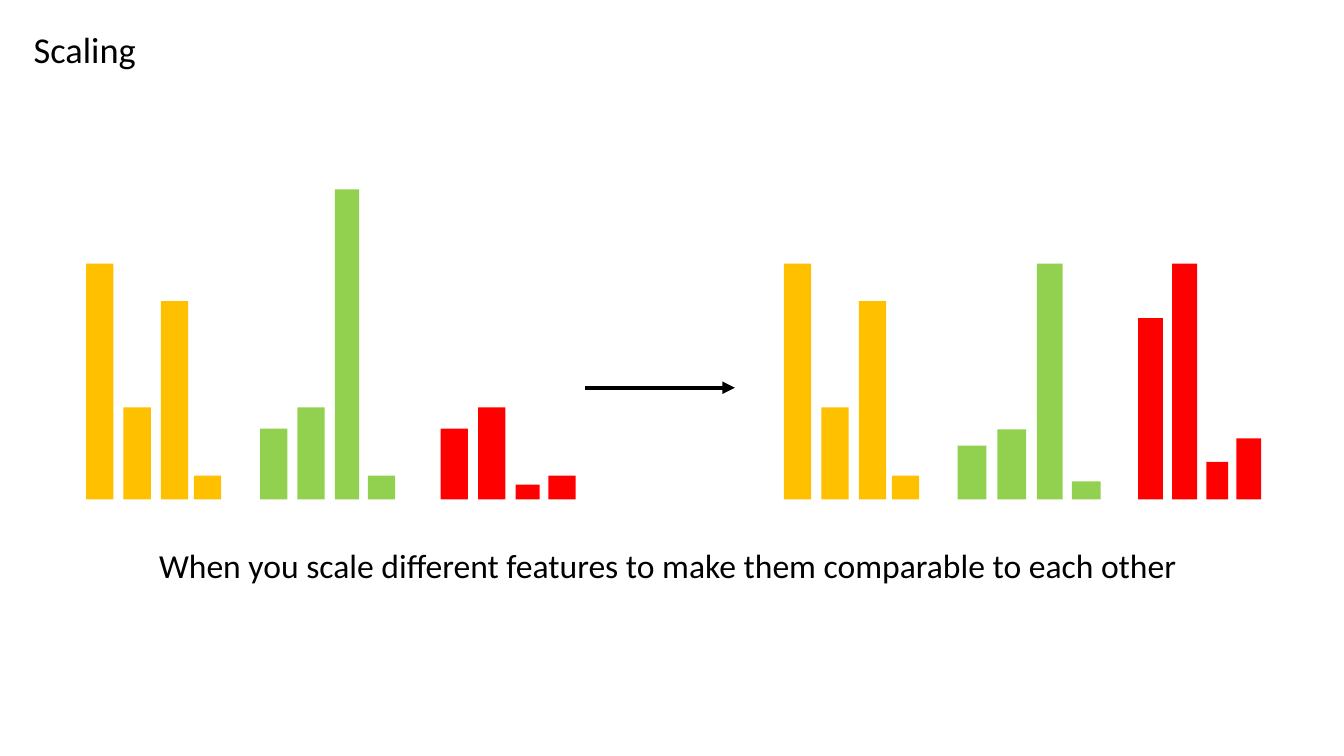
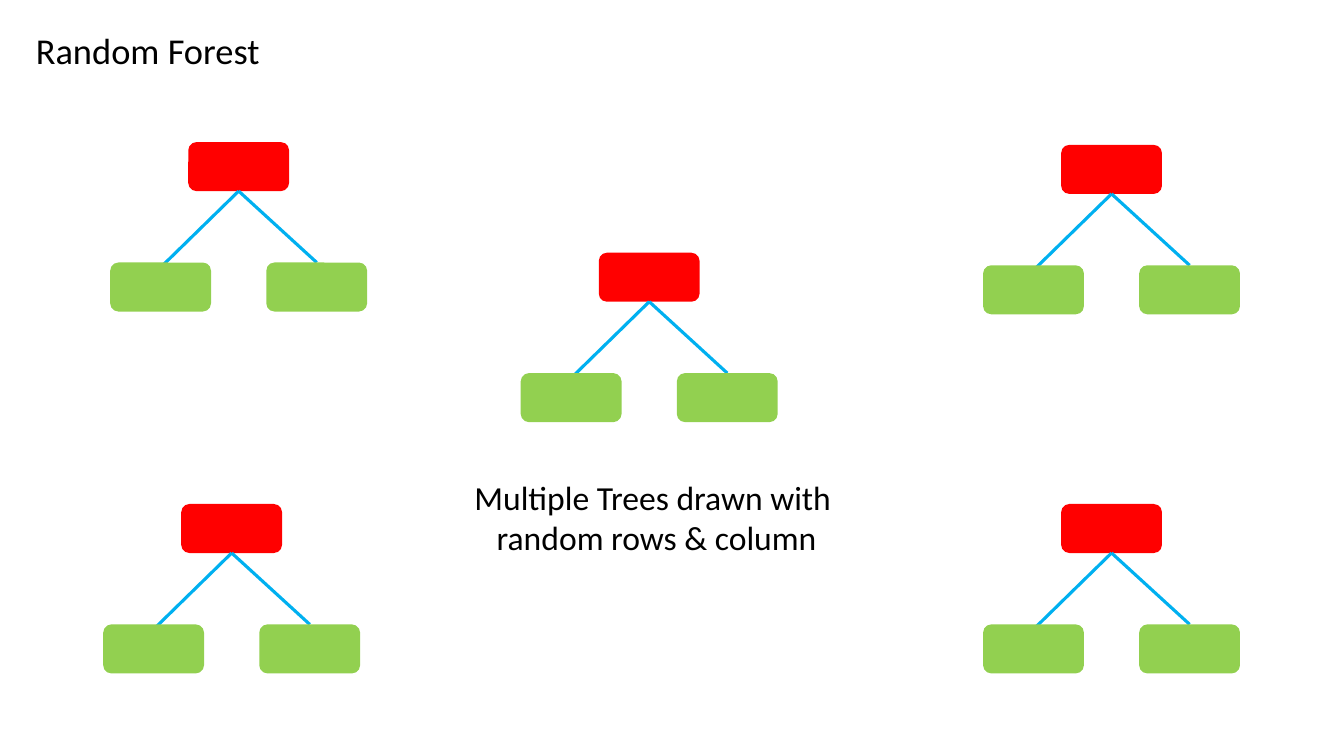
from lxml import etree
from pptx import Presentation
from pptx.dml.color import RGBColor
from pptx.enum.shapes import MSO_CONNECTOR, MSO_SHAPE
from pptx.enum.text import MSO_AUTO_SIZE, PP_ALIGN
from pptx.oxml.ns import qn
from pptx.util import Pt

BLACK = RGBColor(0x00, 0x00, 0x00)
YELLOW = RGBColor(0xFF, 0xC0, 0x00)
GREEN = RGBColor(0x92, 0xD0, 0x50)
RED = RGBColor(0xFF, 0x00, 0x00)
BLUE = RGBColor(0x00, 0xB0, 0xF0)
FONT = "Calibri"
TITLE_SIZE, BODY_SIZE = 26, 24


def add_box(shapes, kind, left, top, width, height, color):
    sp = shapes.add_shape(kind, Pt(left), Pt(top), Pt(width), Pt(height))
    sp.shadow.inherit = False
    sp.fill.solid()
    sp.fill.fore_color.rgb = color
    sp.line.fill.background()


def add_line(shapes, x1, y1, x2, y2, color, width):
    line = shapes.add_connector(MSO_CONNECTOR.STRAIGHT, Pt(x1), Pt(y1), Pt(x2), Pt(y2))
    line.line.color.rgb = color
    line.line.width = Pt(width)
    etree.SubElement(line._element.spPr, qn("a:effectLst"))
    return line


prs = Presentation()
prs.slide_width, prs.slide_height = Pt(960), Pt(540)
scaling, forest = [prs.slides.add_slide(prs.slide_layouts[6]) for _ in range(2)]

# Text: slide, left, top, width, height, size, alignment, paragraphs
texts = [
    (scaling, 17, 16, 88.5, 39, TITLE_SIZE, PP_ALIGN.LEFT, ["Scaling"]),
    (scaling, 106.5, 385.5, 749, 36, BODY_SIZE, PP_ALIGN.LEFT,
     ["When you scale different features to make them comparable to each other"]),
    (forest, 18.5, 16.5, 175.5, 39, TITLE_SIZE, PP_ALIGN.LEFT, ["Random Forest"]),
    (forest, 330.5, 337, 277, 65.5, BODY_SIZE, PP_ALIGN.CENTER,
     ["Multiple Trees drawn with ", "random rows & column"]),
]
for s, left, top, width, height, size, align, lines in texts:
    tf = s.shapes.add_textbox(Pt(left), Pt(top), Pt(width), Pt(height)).text_frame
    tf.word_wrap = False
    tf.auto_size = MSO_AUTO_SIZE.SHAPE_TO_FIT_TEXT
    for i, text in enumerate(lines):
        p = tf.add_paragraph() if i else tf.paragraphs[0]
        p.alignment = align
        r = p.add_run()
        r.text = text
        r.font.name, r.font.size = FONT, Pt(size)
        r.font.color.rgb = BLACK

# Scaling: each feature is drawn raw, then scaled to a common maximum
BASELINE = 356.75
COMMON_MAX = 168.5
BAR_STEPS = [0, 26.75, 53.5, 77]
BAR_W, SLIM_BAR_W = 19.5, 17.25
# Colour, raw left, scaled left, horizontal stretch, third bar width, raw heights
features = [
    (YELLOW, 61.5, 560, 1, BAR_W, [168.5, 65.75, 141.75, 17]),
    (GREEN, 185.75, 684, 1.06, SLIM_BAR_W, [50.5, 65.75, 221.5, 17]),
    (RED, 314.75, 813, 0.91, SLIM_BAR_W, [50.5, 65.75, 10.5, 17]),
]
for color, raw_left, scaled_left, stretch, third_w, heights in features:
    widths = [BAR_W, BAR_W, third_w, BAR_W]
    for left, x_scale, y_scale in [(raw_left, 1, 1),
                                   (scaled_left, stretch, COMMON_MAX / max(heights))]:
        bars = scaling.shapes.add_group_shape().shapes
        for step, width, height in zip(BAR_STEPS, widths, heights):
            add_box(bars, MSO_SHAPE.RECTANGLE, left + step * x_scale,
                    BASELINE - height * y_scale, width * x_scale, height * y_scale, color)

arrow = add_line(scaling.shapes, 418, 277, 525, 277, BLACK, 3)
etree.SubElement(arrow.line._get_or_add_ln(), qn("a:tailEnd"), type="triangle")

# Random Forest: one small tree per root position
NODE_W, NODE_H = 72, 35
CHILD_DX, CHILD_DY = 55.75, 86
roots = [(427.75, 180.5), (134.5, 101.5), (129.5, 360), (758, 103.5), (758, 360)]
for x, y in roots:
    tree = forest.shapes.add_group_shape().shapes
    add_box(tree, MSO_SHAPE.ROUNDED_RECTANGLE, x, y, NODE_W, NODE_H, RED)
    mid, bottom = x + NODE_W / 2, y + NODE_H
    # The left branch ends slightly inside its node, which covers the end
    for dx, end_y in [(-CHILD_DX, y + CHILD_DY + 3.5), (CHILD_DX, y + CHILD_DY)]:
        add_line(tree, mid, bottom, mid + dx, end_y, BLUE, 2.25)
    for dx in (-CHILD_DX, CHILD_DX):
        add_box(tree, MSO_SHAPE.ROUNDED_RECTANGLE, x + dx, y + CHILD_DY,
                NODE_W, NODE_H, GREEN)

prs.save("out.pptx")
